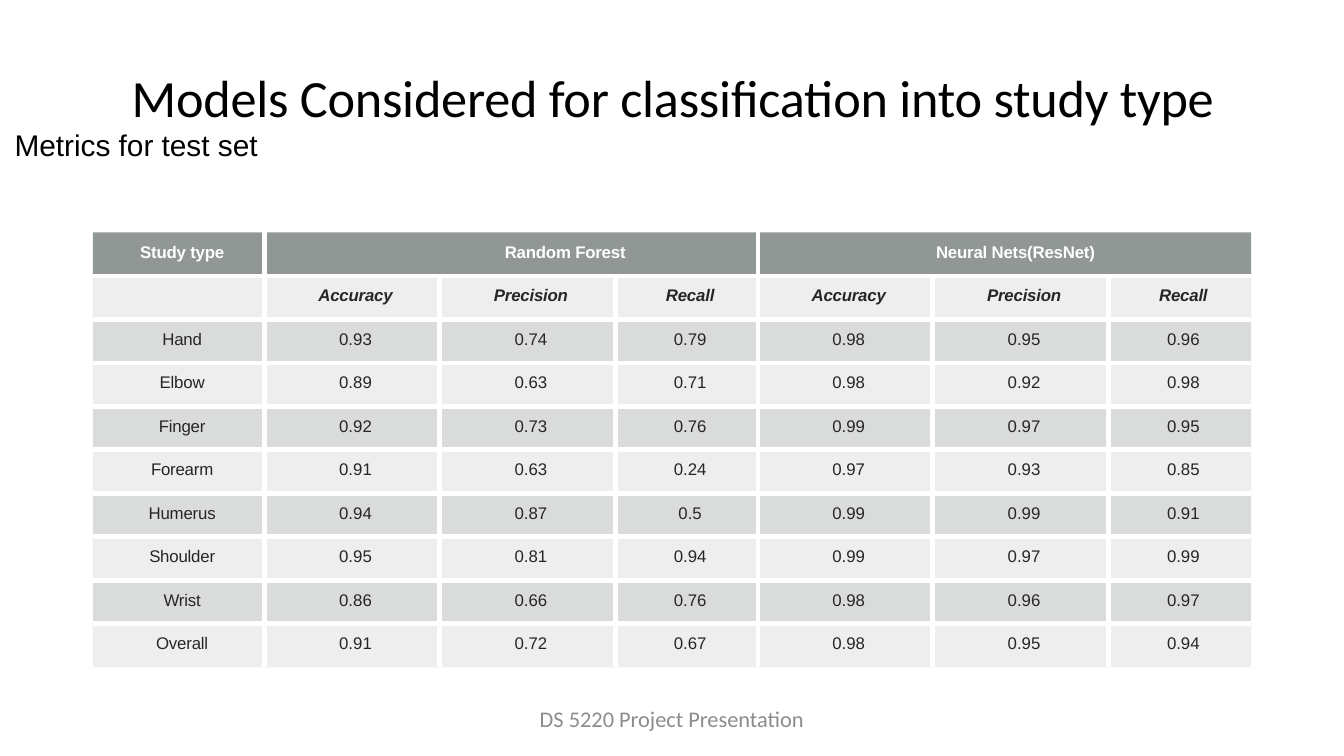
import lxml.etree
import pptx
import pptx.dml.color
import pptx.enum.text
import pptx.oxml.ns
import pptx.util

Inches, Pt = pptx.util.Inches, pptx.util.Pt
ALIGN, ANCHOR = pptx.enum.text.PP_ALIGN, pptx.enum.text.MSO_ANCHOR
qn = pptx.oxml.ns.qn
NO_STYLE = "{2D5ABB26-0587-4C30-8999-92F81FD0307C}"


def color(code):
    return pptx.dml.color.RGBColor.from_string(code)


def style(para, face, size, code):
    para.font.name, para.font.size = face, Pt(size)
    para.font.color.rgb = color(code)


prs = pptx.Presentation()
prs.slide_width = Inches(10)
prs.slide_height = Inches(10) * 9 // 16
slide = prs.slides.add_slide(prs.slide_layouts[5])

# Title
title = slide.shapes.title
title.left, title.top = Inches(0.69), Inches(0.24)
title.width, title.height = Inches(8.62), Inches(0.77)
frame = title.text_frame
frame.text = "Models Considered for classification into study type"
frame.word_wrap = True
frame.auto_size = pptx.enum.text.MSO_AUTO_SIZE.NONE
frame.vertical_anchor = ANCHOR.BOTTOM
para = frame.paragraphs[0]
para.alignment, para.line_spacing = ALIGN.CENTER, 0.9
para._p.get_or_add_pPr().set("marL", str(Inches(0.01)))
style(para, "Calibri", 28, "000000")
para.runs[0]._r.get_or_add_rPr().set("spc", "-10")

# Footer and subtitle
notes = [
    ("DS 5220 Project Presentation", (3.31, 5.21, 3.38, 0.3),
     "Calibri", 12, "8C8C8C", ALIGN.CENTER, ANCHOR.MIDDLE, 0.9),
    ("Metrics for test set", (0.01, 0.89, 2.22, 0.37),
     "Arial", 16, "000000", ALIGN.LEFT, ANCHOR.TOP, 1.0),
]
for text, place, face, size, code, align, anchor, lead in notes:
    frame = slide.shapes.add_textbox(*map(Inches, place)).text_frame
    frame.text, frame.word_wrap, frame.vertical_anchor = text, True, anchor
    para = frame.paragraphs[0]
    para.alignment, para.line_spacing, para.space_after = align, lead, Pt(6)
    style(para, face, size, code)

# Table of metrics
rows = [
    ["Study type", "Random Forest", "", "", "Neural Nets(ResNet)", "", ""],
    [""] + ["Accuracy", "Precision", "Recall"] * 2,
    ["Hand", "0.93", "0.74", "0.79", "0.98", "0.95", "0.96"],
    ["Elbow", "0.89", "0.63", "0.71", "0.98", "0.92", "0.98"],
    ["Finger", "0.92", "0.73", "0.76", "0.99", "0.97", "0.95"],
    ["Forearm", "0.91", "0.63", "0.24", "0.97", "0.93", "0.85"],
    ["Humerus", "0.94", "0.87", "0.5", "0.99", "0.99", "0.91"],
    ["Shoulder", "0.95", "0.81", "0.94", "0.99", "0.97", "0.99"],
    ["Wrist", "0.86", "0.66", "0.76", "0.98", "0.96", "0.97"],
    ["Overall", "0.91", "0.72", "0.67", "0.98", "0.95", "0.94"],
]
widths = [1.28] + [1.3, 1.31, 1.06] * 2
indents = {1: 0.75, 4: 0.11}
table = slide.shapes.add_table(
    len(rows), len(widths), Inches(0.69), Inches(1.73), Inches(8.63), Inches(3.24)).table
table.first_row = table.horz_banding = False
table._tbl.tblPr.find(qn("a:tableStyleId")).text = NO_STYLE
for column, width in zip(table.columns, widths):
    column.width = Inches(width)
for c in indents:
    table.cell(0, c).merge(table.cell(0, c + 2))

for r, row in enumerate(rows):
    for c, text in enumerate(row):
        cell = table.cell(r, c)
        if cell.is_spanned:
            continue
        cell.text = text
        cell.margin_left = Inches(0.13)
        cell.margin_right = cell.margin_top = cell.margin_bottom = Inches(0.08)
        para = cell.text_frame.paragraphs[0]
        para.alignment = ALIGN.CENTER
        para.space_before = Pt(6.2 if r else 10.4)
        style(para, "Arial", 9, "262626" if r else "FFFFFF")
        para.font.bold, para.font.italic = r < 2, r == 1
        if r == 0 and c in indents:
            para._p.get_or_add_pPr().set("marL", str(Inches(indents[c])))
        if not text:
            lxml.etree.SubElement(para._p, qn("a:endParaRPr"), sz="900")
        elif r < 2 or c == 0:
            para.runs[0]._r.get_or_add_rPr().set("spc", "-10")

        # White rules between cells only
        props = cell._tc.get_or_add_tcPr()
        inner = {
            "L": c > 0,
            "R": c + cell.span_width < len(widths),
            "T": r > 0,
            "B": r < len(rows) - 1,
        }
        for side, shown in inner.items():
            if shown:
                line = lxml.etree.SubElement(props, qn("a:ln" + side), w=str(Pt(3)))
                fill = lxml.etree.SubElement(line, qn("a:solidFill"))
                lxml.etree.SubElement(fill, qn("a:srgbClr"), val="FFFFFF")

        cell.fill.solid()
        cell.fill.fore_color.rgb = color("878E8B" if r else "636B68")
        alpha = 70 if r == 0 else 15 if r % 2 else 30
        tint = props.find(qn("a:solidFill")).find(qn("a:srgbClr"))
        lxml.etree.SubElement(tint, qn("a:alpha"), val=str(alpha * 1000))

prs.save("out.pptx")
